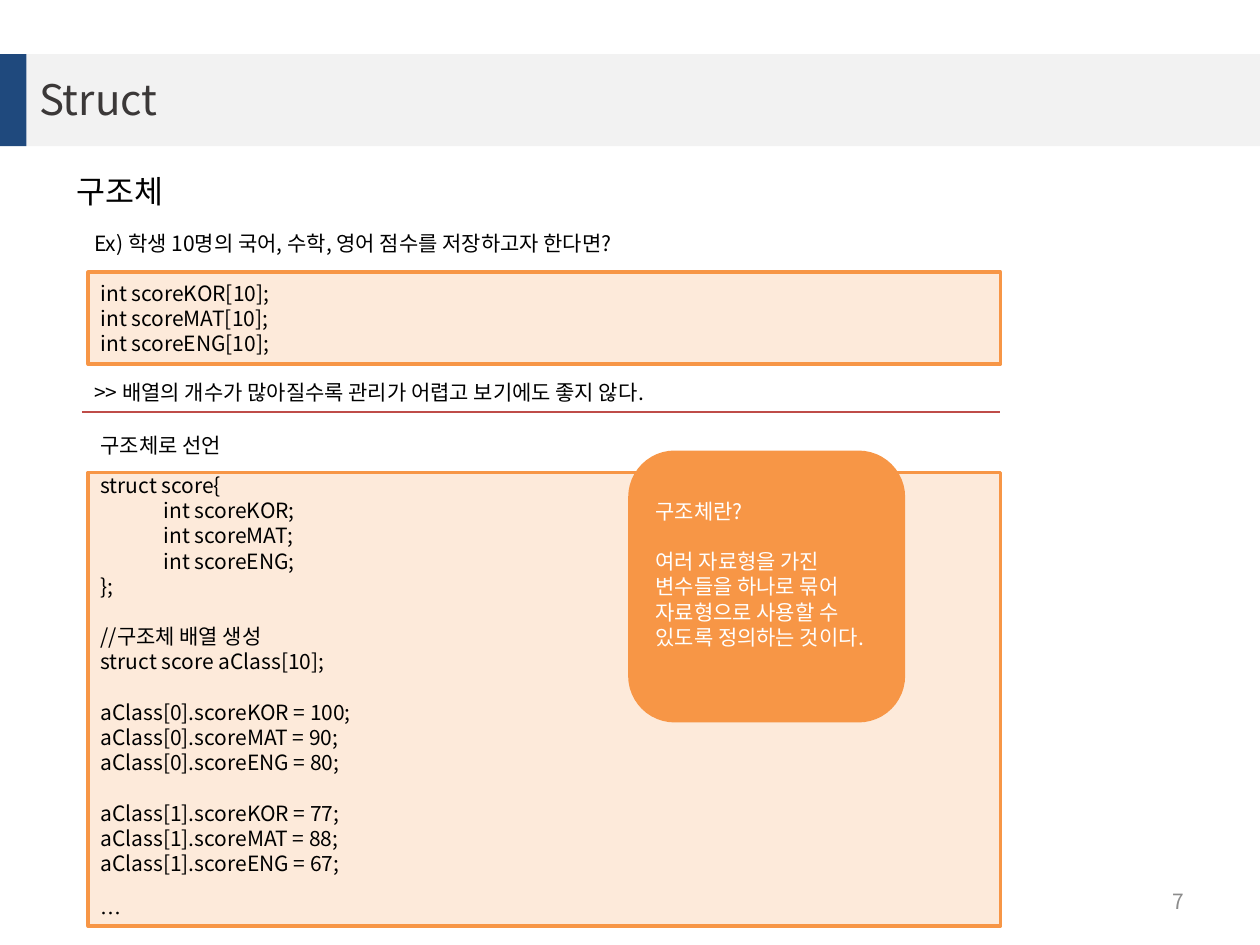
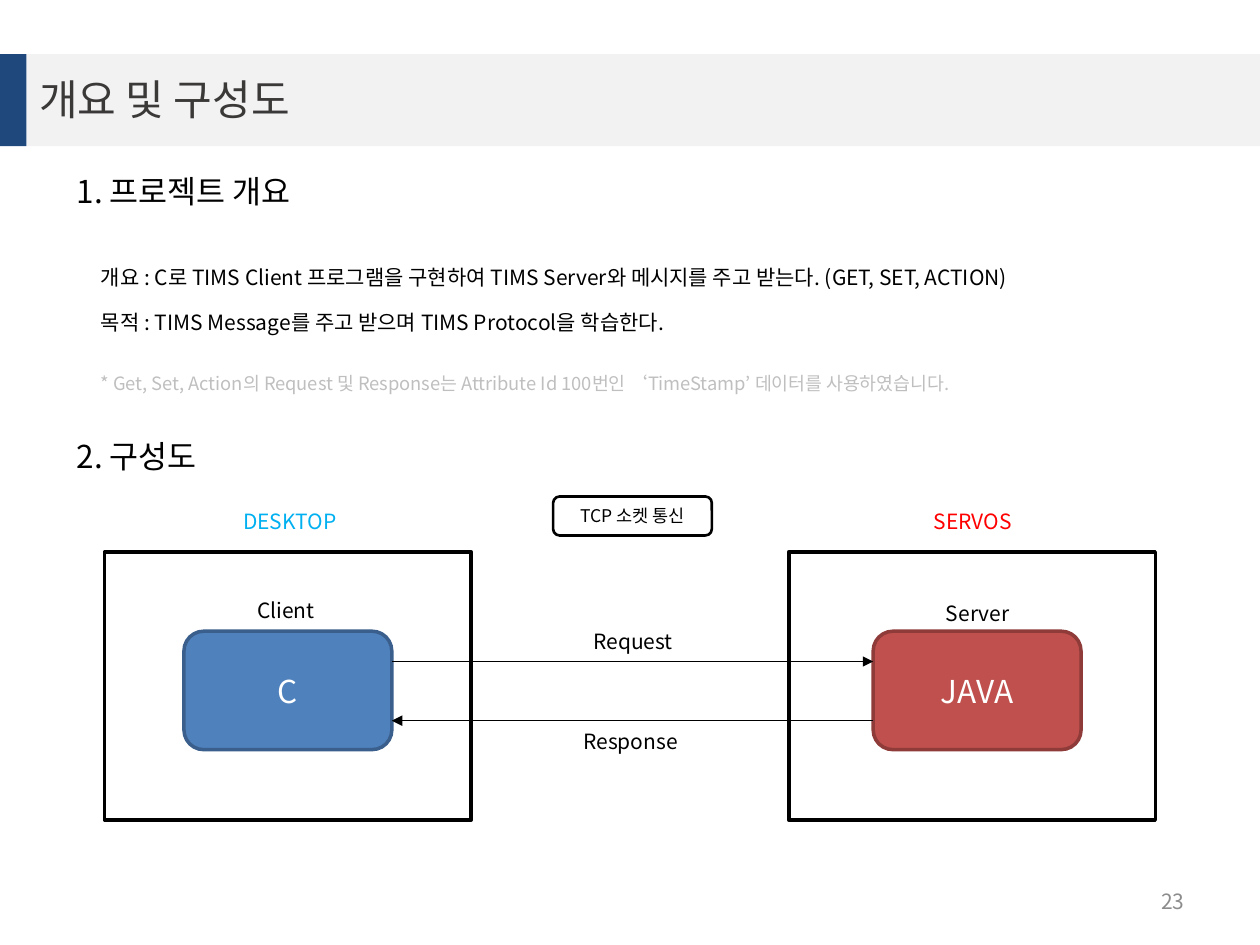
from dataclasses import dataclass
from typing import NamedTuple

from lxml.etree import SubElement
from pptx import Presentation
from pptx.dml.color import RGBColor
from pptx.enum.shapes import MSO_CONNECTOR as Connector, MSO_SHAPE as Preset
from pptx.enum.text import MSO_ANCHOR as Anchor, MSO_AUTO_SIZE as AutoSize, PP_ALIGN as Align
from pptx.oxml.ns import qn
from pptx.util import Emu, Pt

EMU_PER_PX = 9144


@dataclass(frozen=True)
class Theme:
    font: str = "Noto Sans CJK KR"
    leading: float = 1.2
    title_size: float = 24
    heading_size: float = 18
    body_size: float = 12
    note_size: float = 10.5
    badge_size: float = 10
    ink: str = "000000"
    paper: str = "FFFFFF"
    title_ink: str = "3B3838"
    band: str = "F2F2F2"
    band_accent: str = "1F497D"
    page_ink: str = "8C8C8C"
    note_ink: str = "BFBFBF"
    code_fill: str = "FDEADA"
    orange: str = "F79646"
    divider: str = "BF4C48"
    desktop_ink: str = "00B0F0"
    server_ink: str = "FF0000"
    client_fill: str = "4F81BD"
    client_line: str = "3A5F8C"
    server_fill: str = "C0504D"
    server_line: str = "8E3B39"


THEME = Theme()


class Box(NamedTuple):
    left: int
    top: int
    width: int
    height: int


class Style(NamedTuple):
    size: float = THEME.body_size
    color: str = THEME.ink
    align: Align = Align.LEFT
    gap: float = THEME.body_size * THEME.leading


class Label(NamedTuple):
    text: str
    box: Box
    style: Style = Style()


class Panel(NamedTuple):
    box: Box
    fill: str
    line: str | None = None
    preset: Preset = Preset.RECTANGLE
    weight: float = 2
    groups: tuple = ()
    style: Style = Style()


class Rule(NamedTuple):
    start: tuple[int, int]
    end: tuple[int, int]
    color: str = THEME.ink
    arrow: bool = False


class Host(NamedTuple):
    left: int
    system: Label
    role: Label
    language: str
    fill: str
    line: str


HEADING = Style(THEME.heading_size)
CENTERED = Style(align=Align.CENTER)


def px(length: int) -> Emu:
    return Emu(length * EMU_PER_PX)


def rgb(color: str) -> RGBColor:
    return RGBColor.from_string(color)


def write(shape, groups: tuple, style: Style) -> None:
    frame = shape.text_frame
    frame.word_wrap = True
    frame.auto_size = AutoSize.NONE
    frame.text = "\n".join(line for group in groups for line in group)
    openers = {sum(map(len, groups[:i])) for i in range(1, len(groups))}
    for index, paragraph in enumerate(frame.paragraphs):
        paragraph.alignment = style.align
        paragraph.line_spacing = Pt(style.size * THEME.leading)
        paragraph.space_before = Pt(style.gap if index in openers else 0)
        for run in paragraph.runs:
            run.font.name = THEME.font
            run.font.size = Pt(style.size)
            run.font.color.rgb = rgb(style.color)
    for properties in shape.element.iter(qn("a:rPr")):
        SubElement(properties, qn("a:ea"), typeface=THEME.font)


def place(shape, box: Box) -> None:
    shape.left, shape.top, shape.width, shape.height = map(px, box)


def add_label(slide, label: Label, anchor: Anchor = Anchor.TOP) -> None:
    shape = slide.shapes.add_textbox(*map(px, label.box))
    write(shape, ((label.text,),), label.style)
    shape.text_frame.vertical_anchor = anchor


def add_panel(slide, panel: Panel):
    shape = slide.shapes.add_shape(panel.preset, *map(px, panel.box))
    shape.shadow.inherit = False
    shape.fill.solid()
    shape.fill.fore_color.rgb = rgb(panel.fill)
    if panel.line:
        shape.line.color.rgb = rgb(panel.line)
        shape.line.width = Pt(panel.weight)
    else:
        shape.line.fill.background()
    if panel.groups:
        write(shape, panel.groups, panel.style)
        shape.text_frame.vertical_anchor = Anchor.MIDDLE
    return shape


def add_rule(slide, rule: Rule) -> None:
    connector = slide.shapes.add_connector(
        Connector.STRAIGHT, *map(px, rule.start + rule.end))
    connector.line.color.rgb = rgb(rule.color)
    connector.line.width = Pt(0.75)
    properties = connector.element.spPr
    if rule.arrow:
        SubElement(properties.find(qn("a:ln")), qn("a:tailEnd"), type="triangle")
    SubElement(properties, qn("a:effectLst"))


def add_bands(deck, slide) -> None:
    bands = (Panel(Box(21, 43, 979, 73), THEME.band),
             Panel(Box(0, 43, 21, 73), THEME.band_accent))
    for offset, band in enumerate(bands):
        element = add_panel(slide, band).element
        element.nvSpPr.cNvPr.id = 20 + offset
        deck.slide_master.shapes.element.insert(2 + offset, element)


def start_slide(deck, layout: int, title: str, page: str):
    slide = deck.slides.add_slide(deck.slide_layouts[layout])
    heading = slide.shapes.title
    place(heading, Box(21, 42, 929, 73))
    write(heading, ((title,),), Style(THEME.title_size, THEME.title_ink))
    heading.text_frame.vertical_anchor = Anchor.MIDDLE
    add_label(slide, Label(page, Box(717, 695, 233, 40),
                           Style(color=THEME.page_ink, align=Align.RIGHT)), Anchor.MIDDLE)
    return slide


def build_struct(deck):
    slide = start_slide(deck, 5, "Struct", "7")
    subjects = ("KOR", "MAT", "ENG")
    arrays = tuple(f"int score{subject}[10];" for subject in subjects)
    members = tuple(f"\tint score{subject};" for subject in subjects)
    scores = tuple(
        tuple(f"aClass[{student}].score{subject} = {score};"
              for subject, score in zip(subjects, marks))
        for student, marks in enumerate(((100, 90, 80), (77, 88, 67))))
    declaration = (("struct score{", *members, "};"),
                   ("//구조체 배열 생성", "struct score aClass[10];"),
                   *scores, ("…",))
    definition = (("구조체란?",),
                  ("여러 자료형을 가진 변수들을 하나로 묶어 자료형으로 사용할 수 있도록 정의하는 것이다.",))

    for label in (
        Label("구조체", Box(51, 132, 276, 40), HEADING),
        Label("Ex) 학생 10명의 국어, 수학, 영어 점수를 저장하고자 한다면?", Box(65, 178, 490, 30)),
        Label(">> 배열의 개수가 많아질수록 관리가 어렵고 보기에도 좋지 않다.", Box(65, 296, 530, 30)),
        Label("구조체로 선언", Box(70, 338, 490, 30)),
    ):
        add_label(slide, label)
    add_panel(slide, Panel(Box(70, 216, 724, 73), THEME.code_fill, THEME.orange,
                           groups=(arrays,)))
    struct_code = add_panel(slide, Panel(Box(70, 375, 724, 360), THEME.code_fill,
                                         THEME.orange, groups=declaration))
    struct_code.text_frame.vertical_anchor = Anchor.TOP
    struct_code.text_frame.margin_top = 0
    add_rule(slide, Rule((65, 327), (794, 327), THEME.divider))
    callout = add_panel(slide, Panel(Box(500, 359, 217, 213), THEME.orange, THEME.orange,
                                     Preset.ROUNDED_RECTANGLE, groups=definition,
                                     style=Style(color=THEME.paper)))
    callout.text_frame.margin_bottom = px(25)
    return slide


def add_summary(slide) -> None:
    summary = slide.placeholders[1]
    place(summary, Box(70, 205, 903, 66))
    write(summary, (
        ("개요 : C로 TIMS Client 프로그램을 구현하여 TIMS Server와 메시지를 주고 받는다. (GET, SET, ACTION)",),
        ("목적 : TIMS Message를 주고 받으며 TIMS Protocol을 학습한다.",),
    ), Style(gap=11.5))
    for paragraph in summary.element.iter(qn("a:pPr")):
        paragraph.set("marL", "0")
        paragraph.set("indent", "0")
        SubElement(paragraph, qn("a:buNone"))


def add_host(slide, host: Host) -> None:
    add_panel(slide, Panel(Box(host.left, 438, 291, 213), THEME.paper, THEME.ink))
    add_label(slide, host.system)
    add_label(slide, host.role)


def add_program(slide, host: Host, left: int) -> None:
    add_panel(slide, Panel(Box(left, 501, 165, 94), host.fill, host.line,
                           Preset.ROUNDED_RECTANGLE, groups=((host.language,),),
                           style=Style(THEME.heading_size, THEME.paper, Align.CENTER)))


def build_overview(deck) -> None:
    slide = start_slide(deck, 1, "개요 및 구성도", "23")
    add_summary(slide)
    client = Host(83, Label("DESKTOP", Box(86, 399, 288, 30),
                            Style(color=THEME.desktop_ink, align=Align.CENTER)),
                  Label("Client", Box(83, 469, 288, 30), CENTERED),
                  "C", THEME.client_fill, THEME.client_line)
    server = Host(626, Label("SERVOS", Box(628, 399, 288, 30),
                             Style(color=THEME.server_ink, align=Align.CENTER)),
                  Label("Server", Box(632, 472, 288, 30), CENTERED),
                  "JAVA", THEME.server_fill, THEME.server_line)
    for host, program_left in ((client, 146), (server, 693)):
        add_host(slide, host)
        add_program(slide, host, program_left)
    for message in (Rule((311, 525), (693, 525), arrow=True),
                    Rule((693, 572), (311, 572), arrow=True)):
        add_rule(slide, message)
    for label in (
        Label("1. 프로젝트 개요", Box(51, 132, 276, 40), HEADING),
        Label("2. 구성도", Box(51, 342, 276, 40), HEADING),
        Label("Request", Box(396, 494, 213, 30), CENTERED),
        Label("Response", Box(394, 573, 213, 30), CENTERED),
        Label("* Get, Set, Action의 Request 및 Response는 Attribute Id 100번인 ‘TimeStamp’ 데이터를 사용하였습니다.",
              Box(70, 290, 903, 28), Style(THEME.note_size, THEME.note_ink)),
    ):
        add_label(slide, label)
    add_panel(slide, Panel(Box(439, 394, 126, 31), THEME.paper, THEME.ink,
                           Preset.ROUNDED_RECTANGLE, 1.5, (("TCP 소켓 통신",),),
                           Style(THEME.badge_size, align=Align.CENTER)))


def main() -> None:
    deck = Presentation()
    deck.slide_width, deck.slide_height = px(1000), px(750)
    struct_slide = build_struct(deck)
    add_bands(deck, struct_slide)
    build_overview(deck)
    deck.save("out.pptx")


if __name__ == "__main__":
    main()
